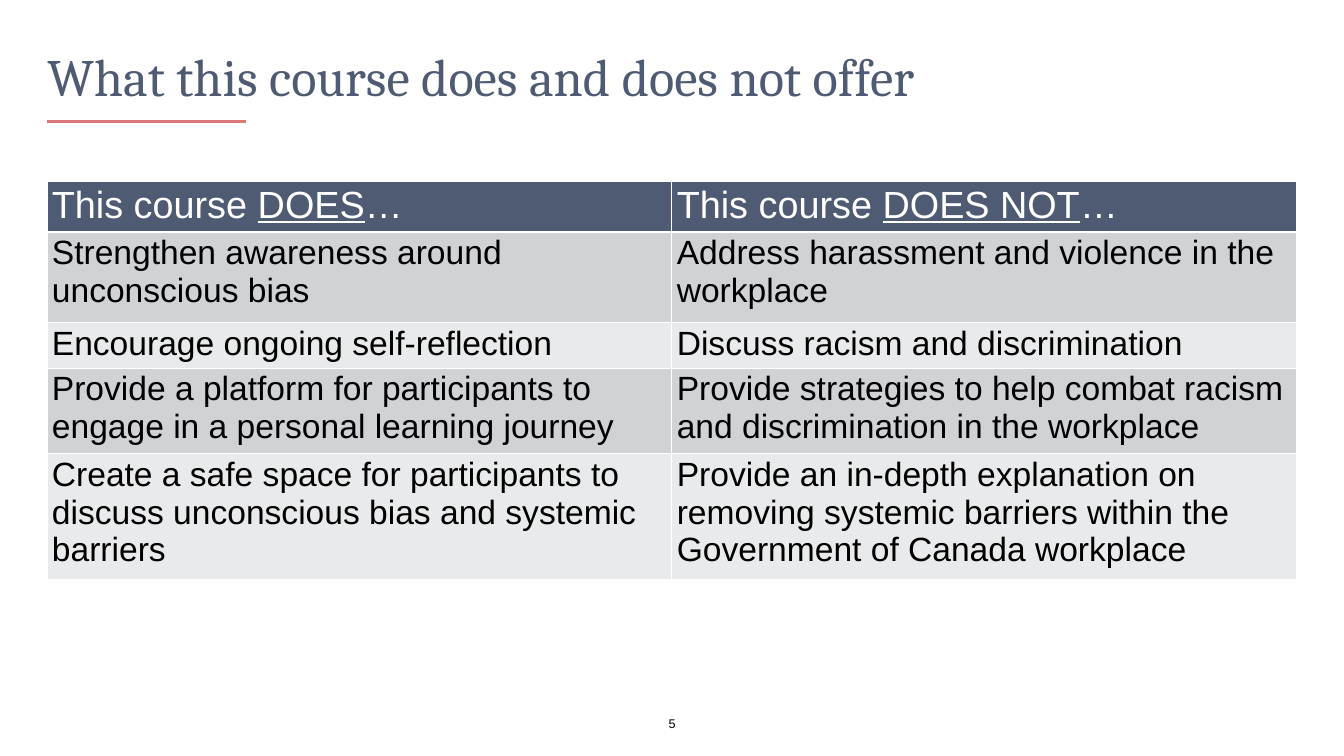
from lxml.etree import SubElement
from pptx import Presentation
from pptx.dml.color import RGBColor
from pptx.enum.shapes import MSO_CONNECTOR
from pptx.enum.text import MSO_ANCHOR, PP_ALIGN
from pptx.oxml.ns import qn
from pptx.util import Inches, Pt

NAVY = RGBColor(0x4E, 0x5B, 0x73)
ROSE = RGBColor(0xDA, 0x79, 0x7A)
DARK = RGBColor(0xD0, 0xD2, 0xD5)
PALE = RGBColor(0xE9, 0xEA, 0xEB)
WHITE = RGBColor(0xFF, 0xFF, 0xFF)
BLACK = RGBColor(0, 0, 0)

TITLE = {"name": "Cambria", "size": Pt(75), "color": NAVY}
HEAD = {"name": "Arial", "size": Pt(54), "color": WHITE, "bold": False}
BODY = {"name": "Arial", "size": Pt(48), "color": BLACK}
NUMBER = {"name": "Arial", "size": Pt(18), "color": BLACK}

HEADS = [("This course ", "DOES", "…"), ("This course ", "DOES NOT", "…")]
ROWS = [
    ("Strengthen awareness around unconscious bias",
     "Address harassment and violence in the workplace"),
    ("Encourage ongoing self-reflection",
     "Discuss racism and discrimination"),
    ("Provide a platform for participants to engage in a personal learning journey",
     "Provide strategies to help combat racism and discrimination in the workplace"),
    ("Create a safe space for participants to discuss unconscious bias and systemic barriers",
     "Provide an in-depth explanation on removing systemic barriers within the "
     "Government of Canada workplace"),
]
HEIGHTS = [0.41, 1.8, 0.41, 0.41, 0.41]


class Page:
    def __init__(self, slide):
        self.slide = slide

    def run(self, para, text, style, **extra):
        run = para.add_run()
        run.text = text
        for key, value in {**style, **extra}.items():
            if key == "color":
                run.font.color.rgb = value
            else:
                setattr(run.font, key, value)

    def text(self, box, text, style, anchor, **layout):
        frame = self.slide.shapes.add_textbox(*map(Inches, box)).text_frame
        sides = dict.fromkeys(("left", "top", "right", "bottom"), 0)
        form = {f"margin_{side}": gap for side, gap in sides.items()}
        form.update(word_wrap=True, vertical_anchor=anchor)
        for key, value in form.items():
            setattr(frame, key, value)
        para = frame.paragraphs[0]
        for key, value in layout.items():
            setattr(para, key, value)
        self.run(para, text, style)

    def line(self, start, end, color, width):
        line = self.slide.shapes.add_connector(
            MSO_CONNECTOR.STRAIGHT, *map(Inches, start + end))
        line.line.color.rgb = color
        line.line.width = Pt(width)
        SubElement(line._element.spPr, qn("a:effectLst"))

    def border(self, cell, widths):
        """Draw white edges; widths maps L, R, T and B to points."""
        props = cell._tc.get_or_add_tcPr()
        for spot, (side, width) in enumerate(widths.items()):
            edge = props.makeelement(qn(f"a:ln{side}"), {"w": str(Pt(width))})
            fill = SubElement(edge, qn("a:solidFill"))
            SubElement(fill, qn("a:srgbClr"), val=str(WHITE))
            props.insert(spot, edge)

    def cell(self, cell, parts, style, fill, widths):
        """Fill a cell with text parts, underlining every second one."""
        cell.fill.solid()
        cell.fill.fore_color.rgb = fill
        self.border(cell, widths)
        for spot, part in enumerate(parts):
            self.run(cell.text_frame.paragraphs[0], part, style,
                     underline=spot % 2 == 1)

    def table(self, box, heads, rows, heights):
        frame = self.slide.shapes.add_table(
            len(rows) + 1, len(heads), *map(Inches, box))
        table = frame.table
        for row, height in zip(table.rows, heights):
            row.height = Inches(height)
        frame.height = Inches(box[3])
        thin = dict.fromkeys("LRTB", 1)
        for col, parts in enumerate(heads):
            self.cell(table.cell(0, col), parts, HEAD, NAVY, {**thin, "B": 3})
        for num, row in enumerate(rows, 1):
            edges = {**thin, "T": 3 if num == 1 else 1}
            for col, words in enumerate(row):
                self.cell(table.cell(num, col), [words], BODY,
                          DARK if num % 2 else PALE, edges)


def main():
    deck = Presentation()
    deck.slide_width, deck.slide_height = Inches(26.67), Inches(15)
    page = Page(deck.slides.add_slide(deck.slide_layouts[6]))
    page.text((0.94, 0.42, 24.8, 1.73), "What this course does and does not offer",
              TITLE, MSO_ANCHOR.BOTTOM, line_spacing=0.9)
    page.line((0.94, 2.41), (4.88, 2.41), ROSE, 3)
    page.table((0.93, 3.6, 24.8, 7.9), HEADS, ROWS, HEIGHTS)
    page.text((12.89, 14.15, 0.89, 0.42), "5", NUMBER, MSO_ANCHOR.MIDDLE,
              alignment=PP_ALIGN.CENTER)
    deck.save("out.pptx")


if __name__ == "__main__":
    main()
